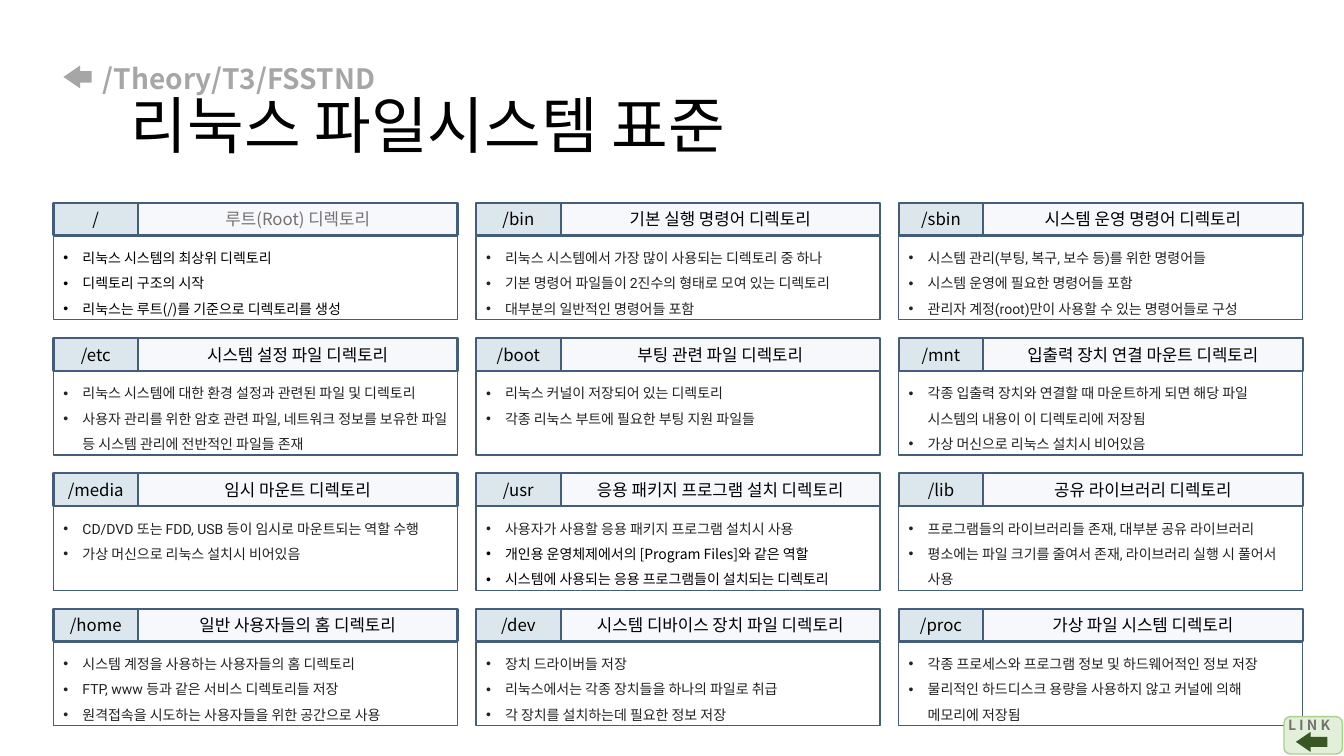
from dataclasses import dataclass

from lxml.etree import SubElement
from pptx import Presentation
from pptx.dml.color import RGBColor
from pptx.enum.shapes import MSO_SHAPE
from pptx.enum.text import MSO_ANCHOR, PP_ALIGN
from pptx.oxml.ns import qn
from pptx.shapes.autoshape import Shape
from pptx.shapes.shapetree import GroupShapes, SlideShapes
from pptx.text.text import TextFrame, _Paragraph
from pptx.util import Cm, Length, Pt

KOREAN_FONT = "Noto Sans CJK KR"
LATIN_FONT = "Roboto"

BLACK = RGBColor(0x00, 0x00, 0x00)
CHARCOAL = RGBColor(0x22, 0x22, 0x22)
WARM_GRAY = RGBColor(0x76, 0x71, 0x71)
LIGHT_GRAY = RGBColor(0xA6, 0xA6, 0xA6)
NAVY = RGBColor(0x43, 0x5D, 0x7B)
PALE_BLUE = RGBColor(0xDC, 0xE7, 0xED)
NEAR_WHITE = RGBColor(0xF7, 0xF8, 0xFC)
PALE_GREEN = RGBColor(0xE2, 0xF0, 0xD9)
SOFT_GREEN = RGBColor(0xA9, 0xD1, 0x8E)
DARK_GREEN = RGBColor(0x38, 0x57, 0x23)

# Card grid, in centimetres
COLUMNS = 3
GRID_LEFT, GRID_TOP = 1.35, 5.11
COLUMN_STEP, ROW_STEP = 10.65, 3.41
CARD_WIDTH, TAG_WIDTH = 10.18, 2.13
HEADER_HEIGHT, BODY_OFFSET, BODY_HEIGHT = 0.82, 0.84, 2.11
BULLET_INDENT = 0.48


@dataclass(frozen=True)
class DirectoryCard:
    directory: str
    role: str
    details: tuple[str, ...] = ()
    black_details: tuple[str, ...] = ()
    role_color: RGBColor = BLACK


CARDS = (
    DirectoryCard("/", "루트(Root) 디렉토리", black_details=(
        "리눅스 시스템의 최상위 디렉토리",
        "디렉토리 구조의 시작",
        "리눅스는 루트(/)를 기준으로 디렉토리를 생성"), role_color=WARM_GRAY),
    DirectoryCard("/bin", "기본 실행 명령어 디렉토리", (
        "리눅스 시스템에서 가장 많이 사용되는 디렉토리 중 하나",
        "기본 명령어 파일들이 2진수의 형태로 모여 있는 디렉토리",
        "대부분의 일반적인 명령어들 포함")),
    DirectoryCard("/sbin", "시스템 운영 명령어 디렉토리", (
        "시스템 관리(부팅, 복구, 보수 등)를 위한 명령어들",
        "시스템 운영에 필요한 명령어들 포함",
        "관리자 계정(root)만이 사용할 수 있는 명령어들로 구성")),
    DirectoryCard("/etc", "시스템 설정 파일 디렉토리", (
        "리눅스 시스템에 대한 환경 설정과 관련된 파일 및 디렉토리",
        "사용자 관리를 위한 암호 관련 파일, 네트워크 정보를 보유한 "
        "파일 등 시스템 관리에 전반적인 파일들 존재")),
    DirectoryCard("/boot", "부팅 관련 파일 디렉토리", (
        "리눅스 커널이 저장되어 있는 디렉토리",
        "각종 리눅스 부트에 필요한 부팅 지원 파일들")),
    DirectoryCard("/mnt", "입출력 장치 연결 마운트 디렉토리", (
        "각종 입출력 장치와 연결할 때 마운트하게 되면 해당 파일 "
        "시스템의 내용이 이 디렉토리에 저장됨",
        "가상 머신으로 리눅스 설치시 비어있음")),
    DirectoryCard("/media", "임시 마운트 디렉토리", (
        "CD/DVD 또는 FDD, USB 등이 임시로 마운트되는 역할 수행",
        "가상 머신으로 리눅스 설치시 비어있음")),
    DirectoryCard("/usr", "응용 패키지 프로그램 설치 디렉토리", (
        "사용자가 사용할 응용 패키지 프로그램 설치시 사용",), (
        "개인용 운영체제에서의 [Program Files]와 같은 역할",
        "시스템에 사용되는 응용 프로그램들이 설치되는 디렉토리")),
    DirectoryCard("/lib", "공유 라이브러리 디렉토리", (
        "프로그램들의 라이브러리들 존재, 대부분 공유 라이브러리",
        "평소에는 파일 크기를 줄여서 존재, 라이브러리 실행 시 풀어서 사용")),
    DirectoryCard("/home", "일반 사용자들의 홈 디렉토리", (
        "시스템 계정을 사용하는 사용자들의 홈 디렉토리",
        "FTP, www 등과 같은 서비스 디렉토리들 저장",
        "원격접속을 시도하는 사용자들을 위한 공간으로 사용")),
    DirectoryCard("/dev", "시스템 디바이스 장치 파일 디렉토리", (
        "장치 드라이버들 저장",
        "리눅스에서는 각종 장치들을 하나의 파일로 취급",
        "각 장치를 설치하는데 필요한 정보 저장")),
    DirectoryCard("/proc", "가상 파일 시스템 디렉토리", (
        "각종 프로세스와 프로그램 정보 및 하드웨어적인 정보 저장",
        "물리적인 하드디스크 용량을 사용하지 않고 커널에 의해 메모리에 저장됨")),
)


def write_text(frame: TextFrame, text: str, *, size: float, color: RGBColor = BLACK,
               font: str = KOREAN_FONT, bold: bool = False,
               align: PP_ALIGN = PP_ALIGN.LEFT,
               spacing: float | Length | None = None) -> _Paragraph:
    """Fill the empty first paragraph, or add one after the existing text."""
    paragraph = frame.add_paragraph() if frame.text else frame.paragraphs[0]
    paragraph.alignment = align
    paragraph.line_spacing = spacing
    run = paragraph.add_run()
    run.text = text
    run.font.name, run.font.size, run.font.bold = font, Pt(size), bold
    run.font.color.rgb = color
    SubElement(run.font._element, qn("a:ea"), typeface=KOREAN_FONT)
    return paragraph


def set_indent(paragraph: _Paragraph, left: float, bullet: bool = False) -> None:
    properties = paragraph._p.get_or_add_pPr()
    properties.set("marL", str(Cm(left)))
    properties.set("indent", str(Cm(-left if bullet else 0)))
    if bullet:
        SubElement(properties, qn("a:buFont"), typeface="Arial")
        SubElement(properties, qn("a:buChar"), char="•")


def add_box(shapes: GroupShapes | SlideShapes, kind: MSO_SHAPE, left: float, top: float,
            width: float, height: float, *, fill: RGBColor | None = None,
            line: RGBColor | None = None, line_width: float = 1) -> Shape:
    box = shapes.add_shape(kind, Cm(left), Cm(top), Cm(width), Cm(height))
    box.shadow.inherit = False
    if fill is None:
        box.fill.background()
    else:
        box.fill.solid()
        box.fill.fore_color.rgb = fill
    if line is None:
        box.line.fill.background()
    else:
        box.line.color.rgb = line
        box.line.width = Pt(line_width)
    return box


def add_back_arrow(shapes: GroupShapes | SlideShapes, left: float, top: float,
                   width: float, height: float, color: RGBColor) -> None:
    arrow = add_box(shapes, MSO_SHAPE.LEFT_ARROW, left, top, width, height, fill=color)
    arrow.adjustments[1] = 0.73


def add_card(shapes: GroupShapes, card: DirectoryCard, left: float, top: float) -> None:
    tag = add_box(shapes, MSO_SHAPE.RECTANGLE, left, top, TAG_WIDTH, HEADER_HEIGHT,
                  fill=PALE_BLUE, line=NAVY, line_width=1.5)
    body = add_box(shapes, MSO_SHAPE.RECTANGLE, left, top + BODY_OFFSET,
                   CARD_WIDTH, BODY_HEIGHT, line=NAVY)
    role = add_box(shapes, MSO_SHAPE.ROUNDED_RECTANGLE, left + TAG_WIDTH, top,
                   CARD_WIDTH - TAG_WIDTH, HEADER_HEIGHT,
                   fill=NEAR_WHITE, line=NAVY, line_width=1.5)
    role.adjustments[0] = 0
    for header, text, color in ((tag, card.directory, BLACK),
                                (role, card.role, card.role_color)):
        header.text_frame.vertical_anchor = MSO_ANCHOR.MIDDLE
        write_text(header.text_frame, text, size=12, color=color, align=PP_ALIGN.CENTER)

    body.text_frame.word_wrap = True
    body.text_frame.vertical_anchor = MSO_ANCHOR.TOP
    for details, font, color in ((card.details, LATIN_FONT, CHARCOAL),
                                 (card.black_details, KOREAN_FONT, BLACK)):
        for detail in details:
            paragraph = write_text(body.text_frame, detail, size=10, font=font,
                                   color=color, spacing=Pt(18.1))
            set_indent(paragraph, BULLET_INDENT, bullet=True)


def main() -> None:
    deck = Presentation()
    deck.slide_width, deck.slide_height = Cm(33.87), Cm(19.05)
    slide = deck.slides.add_slide(deck.slide_layouts[5])

    # Title with its breadcrumb
    title = slide.shapes.title
    title.left, title.top, title.width, title.height = Cm(2.34), Cm(1.02), Cm(29.21), Cm(3.68)
    title.text_frame.vertical_anchor = MSO_ANCHOR.MIDDLE
    write_text(title.text_frame, "/Theory/T3/FSSTND", size=20, color=LIGHT_GRAY,
               bold=True, spacing=0.9)
    heading = write_text(title.text_frame, "리눅스 파일시스템 표준", size=44, spacing=0.9)
    set_indent(heading, 0.7)

    # Directory cards
    for index, card in enumerate(CARDS):
        row, column = divmod(index, COLUMNS)
        add_card(slide.shapes.add_group_shape().shapes, card,
                 GRID_LEFT + column * COLUMN_STEP, GRID_TOP + row * ROW_STEP)

    # Link button in the corner
    button = slide.shapes.add_group_shape().shapes
    add_box(button, MSO_SHAPE.ROUNDED_RECTANGLE, 32.36, 18.06, 1.47, 0.94,
            fill=PALE_GREEN, line=SOFT_GREEN)
    label = button.add_textbox(Cm(32.21), Cm(17.93), Cm(1.88), Cm(1.12))
    label.text_frame.word_wrap = True
    write_text(label.text_frame, "L I N K", size=10, color=WARM_GRAY, bold=True)
    add_back_arrow(button, 32.66, 18.44, 0.79, 0.51, DARK_GREEN)

    # Back arrow beside the breadcrumb
    add_back_arrow(slide.shapes, 1.6, 1.65, 0.71, 0.58, LIGHT_GRAY)

    deck.save("out.pptx")


if __name__ == "__main__":
    main()
